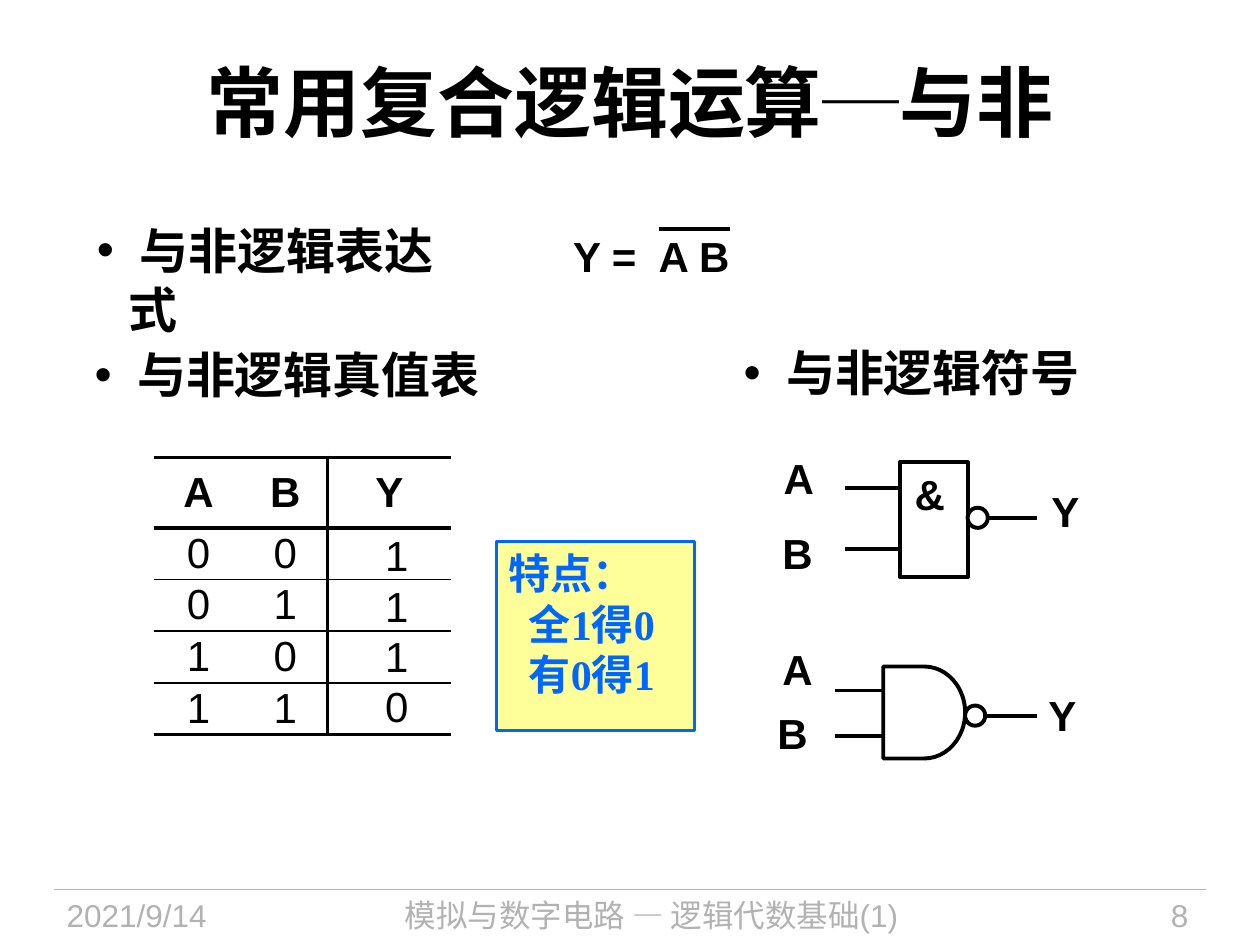
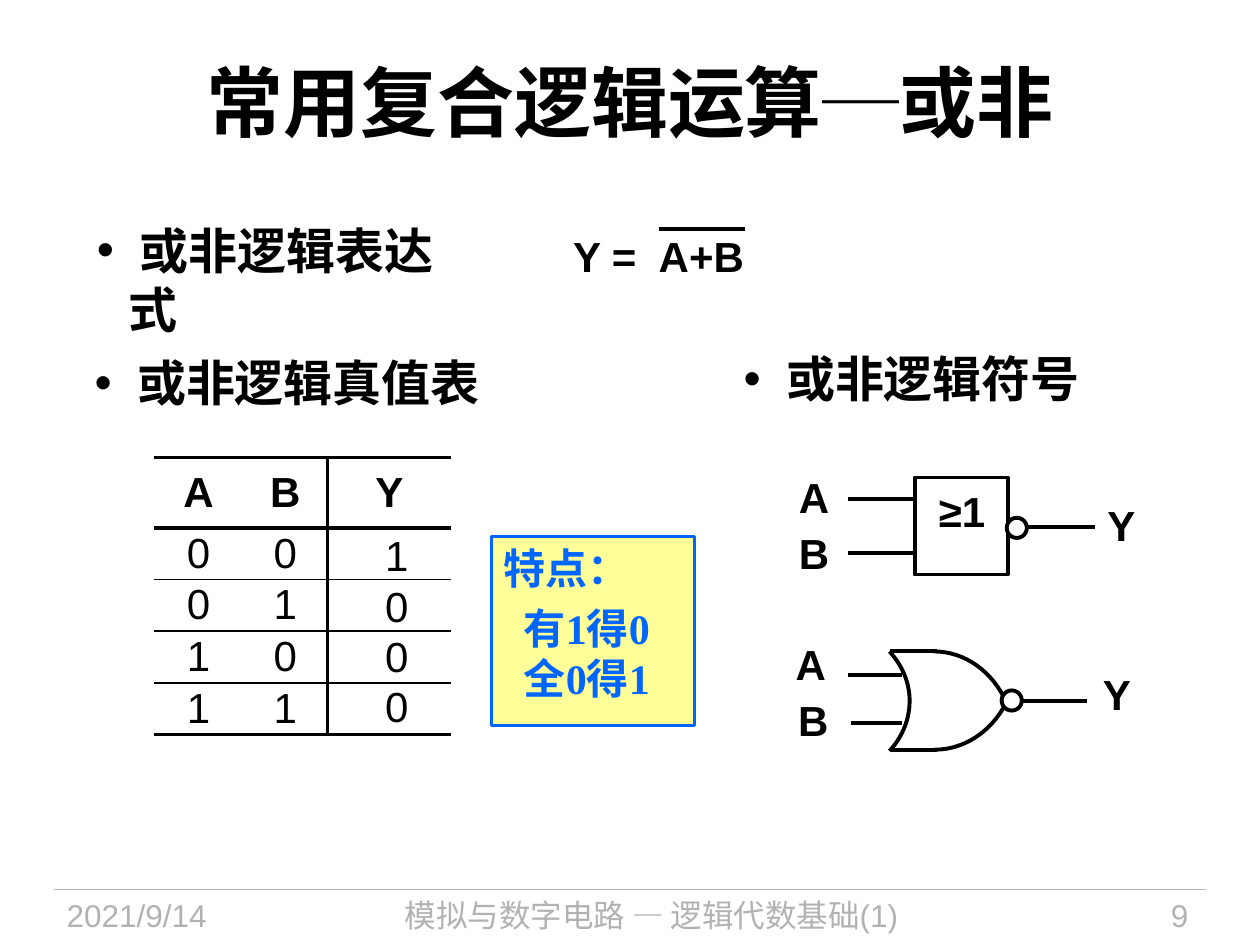
from dataclasses import dataclass
from typing import Any, NamedTuple

from lxml.etree import SubElement
from pptx import Presentation
from pptx.dml.color import RGBColor
from pptx.enum.shapes import MSO_CONNECTOR, MSO_SHAPE as Preset
from pptx.enum.text import MSO_ANCHOR as Anchor, PP_ALIGN as Align
from pptx.oxml.ns import qn
from pptx.util import Emu, Pt

PX = 9144
BLACK = RGBColor(0x00, 0x00, 0x00)
WHITE = RGBColor(0xFF, 0xFF, 0xFF)
GREY = RGBColor(0xB2, 0xB2, 0xB2)
BLUE = RGBColor(0x00, 0x66, 0xFF)
YELLOW = RGBColor(0xFF, 0xFF, 0x99)
THICK, THIN = 2.25, 1.0

TITLE = {"size": Pt(44), "bold": True, "name": "Arial"}
HEADING = {"size": Pt(28), "bold": True, "name": "Arial"}
SYMBOL = {"size": Pt(24), "bold": True, "name": "Arial"}
DIGIT = {"size": Pt(24), "bold": False, "name": "Arial"}
NOTE = {"size": Pt(24), "bold": True, "name": "Times New Roman"}
FOOTER = {"size": Pt(18), "bold": False, "name": "Arial"}

FLUSH = dict.fromkeys(("margin_left", "margin_top", "margin_right", "margin_bottom"), 0)
TIGHT = {"line_spacing": 0.9}
CENTERED = {"alignment": Align.CENTER}
BULLET_INDENT = 25
BUBBLE = 16
CURVE_STEPS = 16
INPUTS = ("00", "01", "10", "11")


class Area(NamedTuple):
    left: int
    top: int
    width: int
    height: int

    def emu(self) -> list[Emu]:
        return [Emu(length * PX) for length in self]


class Wire(NamedTuple):
    x1: int
    y1: int
    x2: int
    y2: int


class Label(NamedTuple):
    text: str
    left: int
    top: int
    width: int = 24


class Point(NamedTuple):
    x: int
    y: int


class Curve(NamedTuple):
    points: list[Point]


@dataclass
class GatePage:
    number: int
    operation: str
    expression: str
    overline_end: int
    table_heading_top: int
    symbol_heading_top: int
    note_area: Area
    note_lines: list[str]
    note_gap: int
    results: str
    labels: list[Label]
    wires: list[Wire]
    bodies: list[tuple[Preset, Area]]
    curves: list[Curve]
    bubbles: list[Point]


def set_all(target: Any, values: dict) -> None:
    for name, value in values.items():
        setattr(target, name, value)


def add_span(para: Any, text: str, style: dict, color: RGBColor = BLACK) -> None:
    span = para.add_run()
    span.text = text
    set_all(span.font, style)
    span.font.color.rgb = color


def add_text(page: Any, area: Area, text: str, style: dict, color: RGBColor = BLACK,
             frame_format: dict = {}, para_format: dict = {}) -> Any:
    frame = page.shapes.add_textbox(*area.emu()).text_frame
    set_all(frame, {"word_wrap": True, **frame_format})
    para = frame.paragraphs[0]
    set_all(para, para_format)
    add_span(para, text, style, color)
    return para


def add_heading(page: Any, area: Area, text: str, frame_format: dict, para_format: dict) -> None:
    para = add_text(page, area, " " + text, HEADING, BLACK, frame_format, para_format)
    properties = para._p.get_or_add_pPr()
    properties.set("marL", str(BULLET_INDENT * PX))
    properties.set("indent", str(-BULLET_INDENT * PX))
    SubElement(properties, qn("a:buFont"), typeface="Arial")
    SubElement(properties, qn("a:buChar"), char="•")


def add_wire(page: Any, wire: Wire, color: RGBColor = BLACK, weight: float = THICK) -> None:
    ends = [Emu(length * PX) for length in wire]
    connector = page.shapes.add_connector(MSO_CONNECTOR.STRAIGHT, *ends)
    connector.line.color.rgb = color
    connector.line.width = Pt(weight)
    SubElement(connector._element.spPr, qn("a:effectLst"))


def outline(shape: Any, fill: RGBColor | None = None, color: RGBColor = BLACK,
            weight: float = THICK) -> None:
    shape.shadow.inherit = False
    if fill is None:
        shape.fill.background()
    else:
        shape.fill.solid()
        shape.fill.fore_color.rgb = fill
    shape.line.color.rgb = color
    shape.line.width = Pt(weight)


def add_curve(page: Any, curve: Curve) -> None:
    points = curve.points
    samples = []
    for first in range(0, len(points) - 1, 3):
        a, b, c, d = points[first:first + 4]
        for step in range(CURVE_STEPS + 1):
            t = step / CURVE_STEPS
            u = 1 - t
            weights = (u ** 3, 3 * u * u * t, 3 * u * t * t, t ** 3)
            samples.append(tuple(
                round(PX * sum(w * p for w, p in zip(weights, axis)))
                for axis in zip(a, b, c, d)))
    builder = page.shapes.build_freeform(*samples[0])
    builder.add_line_segments(samples[1:], close=False)
    outline(builder.convert_to_shape())


def set_borders(cell: Any, weights: dict[str, float]) -> None:
    properties = cell._tc.get_or_add_tcPr()
    for side in "LRTB":
        weight = weights.get(side, 0)
        border = SubElement(properties, qn(f"a:ln{side}"), w=str(Pt(weight)))
        if weight:
            fill = SubElement(border, qn("a:solidFill"))
            SubElement(fill, qn("a:srgbClr"), val=str(BLACK))
        else:
            SubElement(border, qn("a:noFill"))


def add_grid(page: Any, left: int, top: int, widths: list[int], heights: list[int]) -> Any:
    area = Area(left, top, sum(widths), sum(heights))
    table = page.shapes.add_table(len(heights), len(widths), *area.emu()).table
    set_all(table, {"first_row": False, "horz_banding": False})
    for column, width in zip(table.columns, widths):
        column.width = Emu(width * PX)
    for row, height in zip(table.rows, heights):
        row.height = Emu(height * PX)
    return table


def fill_cell(cell: Any, text: str, style: dict, borders: dict[str, float]) -> None:
    set_borders(cell, borders)
    cell.fill.background()
    set_all(cell, {**FLUSH, "vertical_anchor": Anchor.MIDDLE})
    para = cell.text_frame.paragraphs[0]
    set_all(para, CENTERED)
    if text:
        add_span(para, text, style)


def add_truth_table(page: Any, results: str) -> None:
    rows = ["ABY", *INPUTS]
    rules = [THICK, THICK, THIN, THIN, THIN, THICK]
    grid = add_grid(page, 122, 363, [71, 67, 98], [56] + [41] * len(INPUTS))
    for r, row in enumerate(rows):
        for c, text in enumerate(row.ljust(3)):
            borders = {"T": rules[r], "B": rules[r + 1]}
            if c:
                borders["R" if c == 1 else "L"] = THICK
            fill_cell(grid.cell(r, c), text.strip(), DIGIT if r else SYMBOL, borders)
    column = add_grid(page, 268, 422, [94], [40] * len(results))
    for r, text in enumerate(results):
        fill_cell(column.cell(r, 0), text, DIGIT, {})


def add_note(page: Any, area: Area, lines: list[str], gap: int) -> None:
    shape = page.shapes.add_shape(Preset.RECTANGLE, *area.emu())
    outline(shape, YELLOW, BLUE, 1.5)
    frame = shape.text_frame
    set_all(frame, {"word_wrap": True, "margin_right": 0, "vertical_anchor": Anchor.TOP})
    for index, line in enumerate(["特点：", *lines]):
        para = frame.add_paragraph() if index else frame.paragraphs[0]
        para.alignment = Align.LEFT
        if index:
            para._p.get_or_add_pPr().set("marL", str(16 * PX))
        if index == 1 and gap:
            para.space_before = Pt(gap)
        add_span(para, line, NOTE, BLUE)


def add_frame(page: Any, number: int, operation: str) -> None:
    add_wire(page, Wire(43, 706, 957, 706), GREY, 0.75)
    for left, width, text, align in (
        (43, 188, "2021/9/14", Align.LEFT),
        (249, 536, "模拟与数字电路 — 逻辑代数基础(1)", Align.CENTER),
        (820, 133, str(number), Align.RIGHT),
    ):
        add_text(page, Area(left, 706, width, 44), text, FOOTER, GREY,
                 para_format={"alignment": align})
    title = add_text(page, Area(50, 17, 900, 125), "常用复合逻辑运算", TITLE,
                     frame_format={"vertical_anchor": Anchor.MIDDLE}, para_format=CENTERED)
    add_span(title, "─", {**TITLE, "name": "Times New Roman"})
    add_span(title, operation, TITLE)


def add_expression(page: Any, text: str, overline_end: int) -> None:
    para = add_text(page, Area(445, 178, 260, 50), text, SYMBOL)
    tabs = SubElement(para._p.get_or_add_pPr(), qn("a:tabLst"))
    SubElement(tabs, qn("a:tab"), pos=str(68 * PX), algn="l")
    add_wire(page, Wire(523, 182, overline_end, 182))


def draw_page(page: Any, gate: GatePage) -> None:
    add_frame(page, gate.number, gate.operation)
    name = gate.operation + "逻辑"
    add_heading(page, Area(75, gate.table_heading_top, 345, 42), name + "真值表", FLUSH, TIGHT)
    add_heading(page, Area(67, 170, 318, 57), name + "表达式", {}, {})
    add_heading(page, Area(579, gate.symbol_heading_top, 289, 42), name + "符号",
                FLUSH, {**TIGHT, **CENTERED})
    add_expression(page, gate.expression, gate.overline_end)
    for label in gate.labels:
        add_text(page, Area(label.left, label.top, label.width, 36), label.text, SYMBOL,
                 frame_format={**FLUSH, "word_wrap": False}, para_format={**TIGHT, **CENTERED})
    for wire in gate.wires:
        add_wire(page, wire)
    for preset, area in gate.bodies:
        outline(page.shapes.add_shape(preset, *area.emu()))
    for curve in gate.curves:
        add_curve(page, curve)
    for bubble in gate.bubbles:
        area = Area(bubble.x, bubble.y, BUBBLE, BUBBLE)
        outline(page.shapes.add_shape(Preset.OVAL, *area.emu()), WHITE)
    add_note(page, gate.note_area, gate.note_lines, gate.note_gap)
    add_truth_table(page, gate.results)


NAND = GatePage(
    8, "与非", "Y =\tA B", 579, 279, 277,
    Area(394, 430, 157, 150), ["全1得0", "有0得1"], 0, "1110",
    [Label("A", 622, 364), Label("B", 621, 423), Label("Y", 832, 390, 27), Label("&", 726, 376),
     Label("A", 621, 515), Label("B", 617, 566), Label("Y", 832, 552, 22)],
    [Wire(671, 387, 714, 387), Wire(671, 436, 714, 436), Wire(777, 411, 823, 411),
     Wire(663, 548, 701, 548), Wire(663, 584, 701, 584), Wire(778, 568, 823, 568)],
    [(Preset.RECTANGLE, Area(714, 367, 54, 91)),
     (Preset.FLOWCHART_DELAY, Area(701, 529, 65, 73))],
    [], [Point(768, 403), Point(766, 560)],
)

NOR = GatePage(
    9, "或非", "Y =\tA+B", 591, 285, 282,
    Area(390, 426, 161, 150), ["有1得0", "全0得1"], 5, "1000",
    [Label("A", 634, 379), Label("B", 634, 423), Label("Y", 878, 401), Label("≥1", 736, 390, 55),
     Label("A", 626, 511, 35), Label("B", 628, 556, 35), Label("Y", 869, 535, 35)],
    [Wire(673, 396, 726, 396), Wire(673, 439, 726, 439), Wire(816, 418, 869, 418),
     Wire(673, 536, 716, 536), Wire(675, 574, 716, 574), Wire(811, 556, 863, 556),
     Wire(744, 595, 706, 595), Wire(744, 517, 706, 517)],
    [(Preset.RECTANGLE, Area(726, 379, 74, 77))],
    [Curve([Point(741, 517), Point(766, 517), Point(788, 533), Point(799, 558)]),
     Curve([Point(742, 595), Point(765, 595), Point(787, 581), Point(799, 557)]),
     Curve([Point(706, 517), Point(717, 529), Point(722, 543), Point(722, 556),
            Point(722, 570), Point(717, 584), Point(706, 596)])],
    [Point(799, 411), Point(795, 548)],
)


def main() -> None:
    deck = Presentation()
    deck.slide_width, deck.slide_height = Emu(1000 * PX), Emu(750 * PX)
    for gate in (NAND, NOR):
        draw_page(deck.slides.add_slide(deck.slide_layouts[6]), gate)
    deck.save("out.pptx")


if __name__ == "__main__":
    main()
